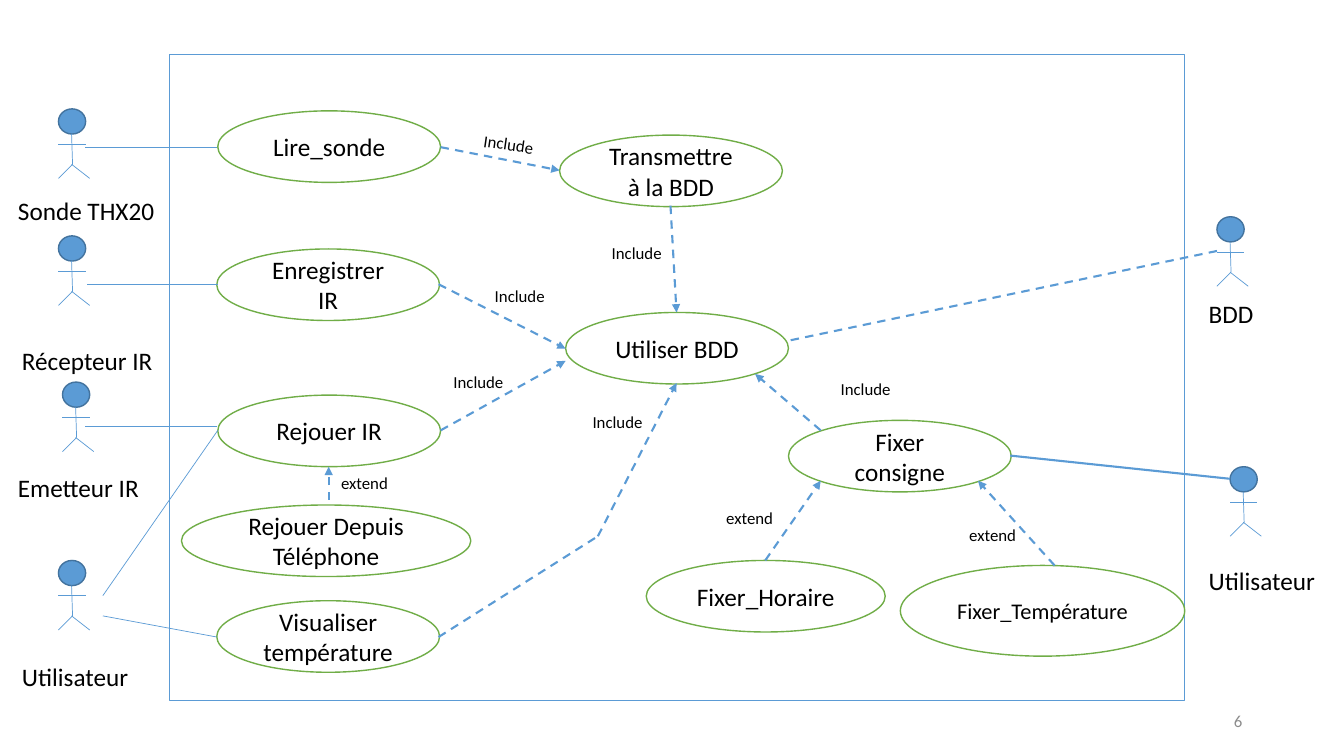
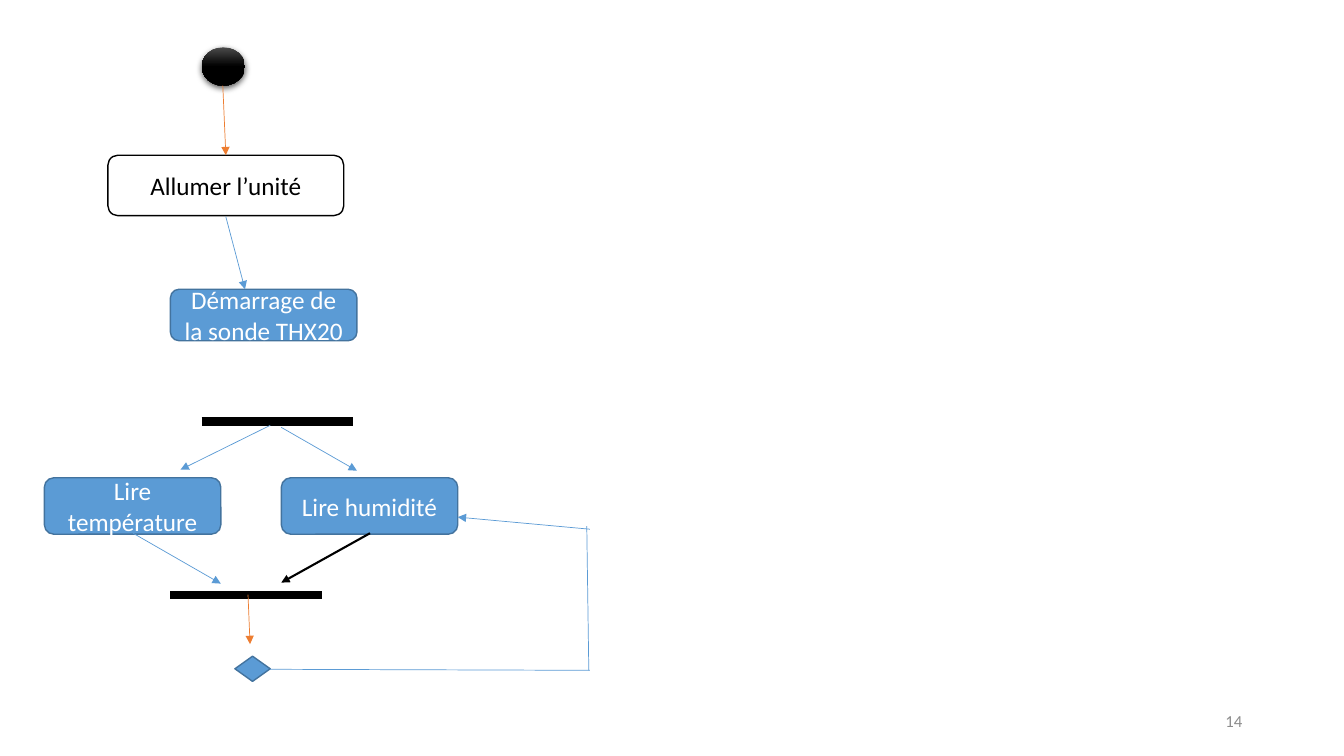
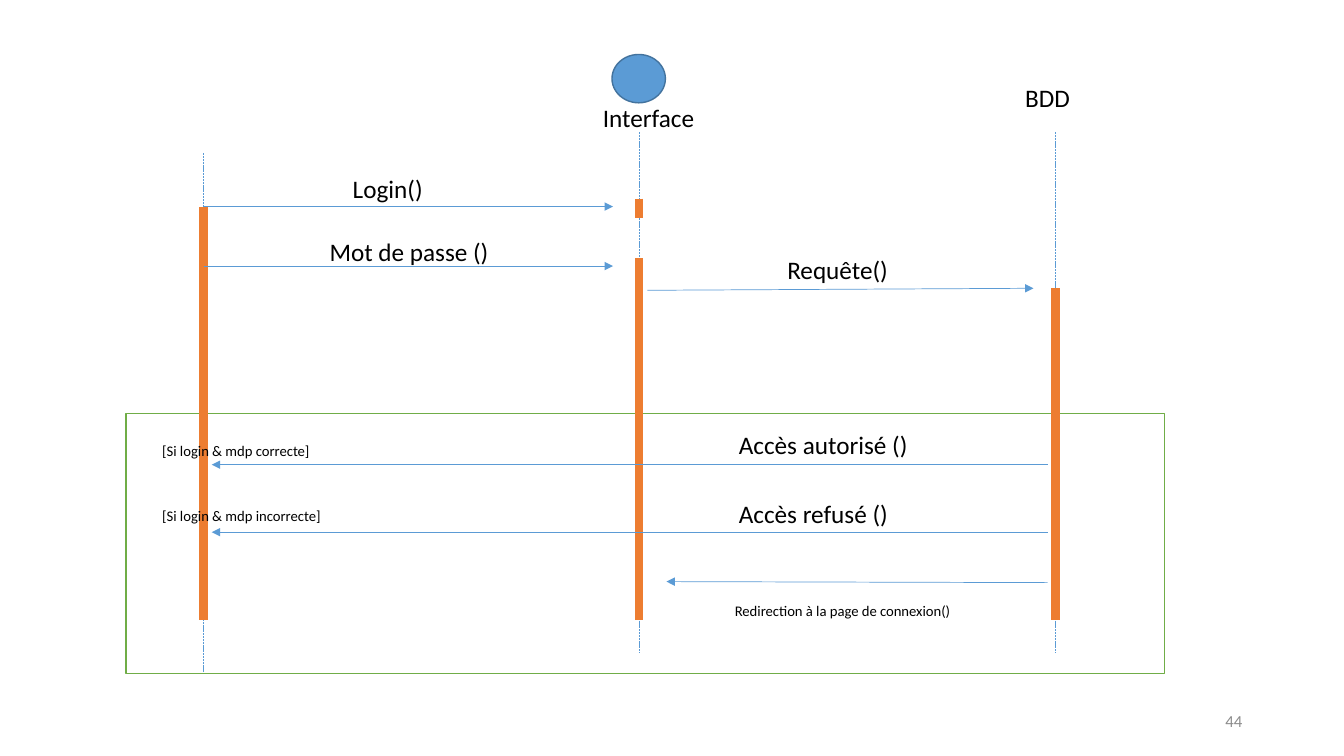
from dataclasses import dataclass
from typing import NamedTuple, Optional

from lxml import etree
from pptx import Presentation
from pptx import util as u
from pptx.dml.color import RGBColor
from pptx.enum import dml, shapes, text
from pptx.oxml.ns import qn


@dataclass(frozen=True)
class Theme:
    font: str = "Calibri"
    blue: RGBColor = RGBColor(0x5B, 0x9B, 0xD5)
    edge: RGBColor = RGBColor(0x43, 0x73, 0x9E)
    green: RGBColor = RGBColor(0x70, 0xAD, 0x47)
    orange: RGBColor = RGBColor(0xED, 0x7D, 0x31)
    black: RGBColor = RGBColor(0, 0, 0)
    shine: RGBColor = RGBColor(0x4B, 0x4B, 0x4B)
    white: RGBColor = RGBColor(0xFF, 0xFF, 0xFF)
    gray: RGBColor = RGBColor(0x8C, 0x8C, 0x8C)
    main: float = 18
    mid: float = 16
    small: float = 12
    tiny: float = 10.5
    thin: float = 0.5
    rim: float = 1
    bold: float = 1.5
    thick: float = 6


T = Theme()
KIND = shapes.MSO_SHAPE
DASH = dml.MSO_LINE.DASH
DOTS = dml.MSO_LINE.SQUARE_DOT
LEFT, MID, RIGHT = text.PP_ALIGN.LEFT, text.PP_ALIGN.CENTER, text.PP_ALIGN.RIGHT


class Box(NamedTuple):
    x: float
    y: float
    w: float
    h: float


class Node(NamedTuple):
    box: Box
    words: str = ""
    kind: shapes.MSO_SHAPE = KIND.OVAL
    fill: RGBColor = T.blue
    edge: RGBColor = T.edge
    ink: RGBColor = T.white
    size: float = T.main


class Link(NamedTuple):
    x1: float
    y1: float
    x2: float
    y2: float
    color: RGBColor = T.blue
    width: float = T.thin
    dash: Optional[dml.MSO_LINE] = None
    arrow: bool = False


class Label(NamedTuple):
    box: Box
    words: str
    size: float = T.main
    align: text.PP_ALIGN = LEFT
    turn: float = 0
    ink: RGBColor = T.black


def write(frame, words: str, size: float, ink: RGBColor, align) -> None:
    frame.word_wrap = True
    frame.text = words
    line = frame.paragraphs[0]
    line.alignment = align
    for run in line.runs:
        run.font.name = T.font
        run.font.size = u.Pt(size)
        run.font.color.rgb = ink


def draw_node(slide, node: Node):
    shape = slide.shapes.add_shape(node.kind, *map(u.Inches, node.box))
    shape.shadow.inherit = False
    shape.fill.solid()
    shape.fill.fore_color.rgb = node.fill
    shape.line.color.rgb = node.edge
    shape.line.width = u.Pt(T.rim)
    if node.words:
        write(shape.text_frame, node.words, node.size, node.ink, MID)
    return shape


def draw_link(slide, link: Link) -> None:
    ends = map(u.Inches, link[:4])
    line = slide.shapes.add_connector(shapes.MSO_CONNECTOR.STRAIGHT, *ends)
    line.line.color.rgb = link.color
    line.line.width = u.Pt(link.width)
    if link.dash:
        line.line.dash_style = link.dash
    props = line.element.spPr
    if link.arrow:
        etree.SubElement(props.find(qn("a:ln")), qn("a:tailEnd"), type="triangle")
    etree.SubElement(props, qn("a:effectLst"))


def draw_label(slide, label: Label):
    box = slide.shapes.add_textbox(*map(u.Inches, label.box))
    write(box.text_frame, label.words, label.size, label.ink, label.align)
    box.text_frame.auto_size = text.MSO_AUTO_SIZE.SHAPE_TO_FIT_TEXT
    box.rotation = label.turn
    return box


def draw_actor(slide, x: float, y: float) -> None:
    draw_node(slide, Node(Box(x, y, 0.27, 0.25)))
    for x1, y1, x2, y2 in (
        (0.13, 0.25, 0.14, 0.55),
        (0.14, 0.55, 0, 0.69),
        (0.13, 0.55, 0.31, 0.69),
        (0, 0.35, 0.27, 0.35),
    ):
        draw_link(slide, Link(x + x1, y + y1, x + x2, y + y2))


def draw_frame(slide, box: Box, edge: RGBColor) -> None:
    draw_node(slide, Node(box, kind=KIND.RECTANGLE, fill=T.white, edge=edge))


def new_slide(deck, number: int):
    slide = deck.slides.add_slide(deck.slide_layouts[6])
    place = Box(9.42, 6.95, 3, 0.4)
    box = draw_label(slide, Label(place, str(number), T.small, RIGHT, ink=T.gray))
    box.text_frame.auto_size = text.MSO_AUTO_SIZE.NONE
    box.text_frame.vertical_anchor = text.MSO_ANCHOR.MIDDLE
    return slide


def use_cases(deck) -> None:
    slide = new_slide(deck, 6)
    for x, y in ((0.58, 1.08), (0.58, 2.34), (0.62, 3.79), (0.58, 5.56),
                 (12.07, 2.15)):
        draw_actor(slide, x, y)
    draw_frame(slide, Box(1.68, 0.54, 10.07, 6.41), T.blue)
    wide, high = 2.21, 0.71
    for x, y, w, h, words, size in (
        (2.16, 1.1, wide, high, "Lire_sonde", T.main),
        (5.55, 1.34, wide, high, "Transmettre à la BDD", T.main),
        (2.15, 2.47, wide, high, "Enregistrer IR", T.main),
        (2.16, 3.92, wide, high, "Rejouer IR", T.main),
        (1.8, 5.01, 2.87, high, "Rejouer Depuis Téléphone", T.main),
        (2.15, 5.96, wide, high, "Visualiser température", T.main),
        (5.61, 3.1, wide, high, "Utiliser BDD", T.main),
        (7.82, 4.17, wide, high, "Fixer consigne", T.main),
        (6.41, 5.56, 2.37, high, "Fixer_Horaire", T.main),
        (8.93, 5.61, 2.82, 0.9, "Fixer_Température", T.mid),
    ):
        draw_node(slide, Node(Box(x, y, w, h), words, fill=T.white,
                              edge=T.green, ink=T.black, size=size))
    for ends in (
        (2.15, 1.46, 0.84, 1.46),
        (2.16, 2.82, 0.86, 2.82),
        (2.15, 4.23, 0.84, 4.23),
        (2.16, 4.27, 1.02, 5.91),
        (2.15, 6.32, 1.02, 6.11),
    ):
        draw_link(slide, Link(*ends))
    for *ends, arrow in (
        (12.07, 2.49, 7.82, 3.38, False),
        (4.37, 1.46, 5.55, 1.69, True),
        (6.65, 2.04, 6.71, 3.1, True),
        (4.35, 2.82, 5.61, 3.46, True),
        (3.26, 4.96, 3.26, 4.63, True),
        (4.37, 4.27, 5.61, 3.58, True),
        (8.14, 4.27, 7.49, 3.71, True),
        (4.35, 6.32, 5.93, 5.32, False),
        (5.93, 5.32, 6.71, 3.8, True),
        (7.59, 5.56, 8.14, 4.77, True),
        (10.46, 5.61, 9.7, 4.77, True),
    ):
        draw_link(slide, Link(*ends, width=T.bold, dash=DASH, arrow=arrow))
    for words, x, y, turn in (
        ("Include", 4.55, 1.28, 8.2),
        ("Include", 5.82, 2.36, 0),
        ("Include", 8.09, 3.71, 0),
        ("Include", 5.63, 4.04, 0),
        ("Include", 4.25, 3.64, 0),
        ("Include", 4.66, 2.79, 0),
        ("extend", 6.94, 4.99, 0),
        ("extend", 9.35, 5.16, 0),
        ("extend", 3.12, 4.64, 0),
    ):
        draw_label(slide, Label(Box(x, y, 0.99, 0.3), words, T.small, MID, turn))
    for words, x, y, w in (
        ("BDD", 11.89, 2.91, 0.73),
        ("Sonde THX20", 0.08, 1.89, 1.61),
        ("Récepteur IR", 0.12, 3.38, 1.54),
        ("Emetteur IR", 0.08, 4.64, 1.57),
        ("Utilisateur", 0.12, 6.51, 1.54),
        ("Utilisateur", 11.89, 5.56, 1.34),
    ):
        draw_label(slide, Label(Box(x, y, w, 0.4), words))
    draw_actor(slide, 12.2, 4.63)
    draw_link(slide, Link(12.2, 4.75, 10.02, 4.52, width=T.bold))


def draw_start(slide, box: Box) -> None:
    ball = draw_node(slide, Node(box))
    ball.line.fill.background()
    ball.fill.gradient()
    ball.fill.gradient_angle = 270
    for stop, ink, place in zip(ball.fill.gradient_stops,
                                (T.shine, T.black), (0, 0.5)):
        stop.color.rgb = ink
        stop.position = place
    glow = etree.SubElement(
        ball.element.spPr.find(qn("a:effectLst")), qn("a:outerShdw"),
        blurRad=str(u.Pt(4.5)), dist=str(u.Pt(1.5)), dir="5400000",
        algn="ctr", rotWithShape="0")
    tint = etree.SubElement(glow, qn("a:srgbClr"), val=str(T.black))
    etree.SubElement(tint, qn("a:alpha"), val="63000")


def sensor_flow(deck) -> None:
    slide = new_slide(deck, 14)
    draw_start(slide, Box(2, 0.47, 0.43, 0.38))
    draw_node(slide, Node(Box(1.07, 1.54, 2.34, 0.6), "Allumer l’unité",
                          KIND.ROUNDED_RECTANGLE, T.white, T.black, T.black))
    for x, y, w, h, words in (
        (0.44, 4.74, 1.75, 0.56, "Lire température"),
        (1.69, 2.87, 1.85, 0.51, "Démarrage de la sonde THX20"),
        (2.79, 4.74, 1.75, 0.56, "Lire humidité"),
    ):
        draw_node(slide, Node(Box(x, y, w, h), words, KIND.ROUNDED_RECTANGLE))
    draw_node(slide, Node(Box(2.33, 6.51, 0.35, 0.25),
                          kind=KIND.FLOWCHART_DECISION))
    for x, y in ((2, 4.18), (1.69, 5.9)):
        draw_link(slide, Link(x, y, x + 1.5, y, T.black, T.thick))
    for *ends, color, width in (
        (2.21, 0.85, 2.24, 1.54, T.orange, T.thin),
        (2.24, 2.15, 2.43, 2.87, T.blue, T.thin),
        (2.68, 4.22, 1.79, 4.66, T.blue, T.thin),
        (2.79, 4.24, 3.54, 4.67, T.blue, T.thin),
        (1.32, 5.29, 2.19, 5.79, T.blue, T.thin),
        (3.67, 5.29, 2.79, 5.78, T.black, T.bold),
        (2.46, 5.9, 2.48, 6.39, T.orange, T.thin),
        (5.85, 5.25, 4.54, 5.13, T.blue, T.thin),
    ):
        draw_link(slide, Link(*ends, color, width, arrow=True))
    for ends in ((2.68, 6.64, 5.85, 6.65), (5.84, 6.65, 5.82, 5.22)):
        draw_link(slide, Link(*ends))


def login_steps(deck) -> None:
    slide = new_slide(deck, 44)
    draw_frame(slide, Box(1.25, 4.1, 10.3, 2.58), T.green)
    user, page, base = 2.02, 6.34, 10.47
    for x, top, end in ((user, 1.52, 6.67), (page, 1.31, 6.47), (base, 1.31, 6.47)):
        draw_link(slide, Link(x, top, x, end, dash=DOTS))
    for x, top, end in ((user, 2.05, 6.15), (page, 1.97, 2.16),
                        (page, 2.56, 6.15), (base, 2.86, 6.15)):
        draw_link(slide, Link(x, top, x, end, T.orange, T.thick))
    for ends in (
        (user, 2.05, 6.08, 2.05),
        (user, 2.64, 6.08, 2.64),
        (6.42, 2.88, 10.25, 2.86),
        (10.39, 4.61, 2.1, 4.61),
        (10.39, 5.28, 2.1, 5.28),
        (10.39, 5.78, 6.61, 5.77),
    ):
        draw_link(slide, Link(*ends, arrow=True))
    draw_node(slide, Node(Box(6.07, 0.54, 0.53, 0.48)))
    for words, x, y, w in (
        ("Login()", 3.4, 1.67, 1.3),
        ("Mot de passe ()", 3.17, 2.3, 1.83),
        ("Interface", 5.88, 0.97, 1.45),
        ("Requête()", 7.71, 2.47, 2.01),
        ("Accès autorisé ()", 7.23, 4.21, 2.03),
        ("Accès refusé ()", 7.23, 4.89, 2.03),
    ):
        draw_label(slide, Label(Box(x, y, w, 0.4), words))
    draw_label(slide, Label(Box(9.77, 0.77, 1.24, 0.4), "BDD", align=MID))
    for words, x, y, w in (
        ("[Si login & mdp correcte]", 1.51, 4.33, 2.62),
        ("[Si login & mdp incorrecte]", 1.51, 4.98, 2.62),
        ("Redirection à la page de connexion()", 7.19, 5.92, 3.37),
    ):
        draw_label(slide, Label(Box(x, y, w, 0.28), words, T.tiny))


def main() -> None:
    deck = Presentation()
    deck.slide_width = u.Inches(13.33)
    deck.slide_height = u.Inches(7.5)
    use_cases(deck)
    sensor_flow(deck)
    login_steps(deck)
    deck.save("out.pptx")


if __name__ == "__main__":
    main()
